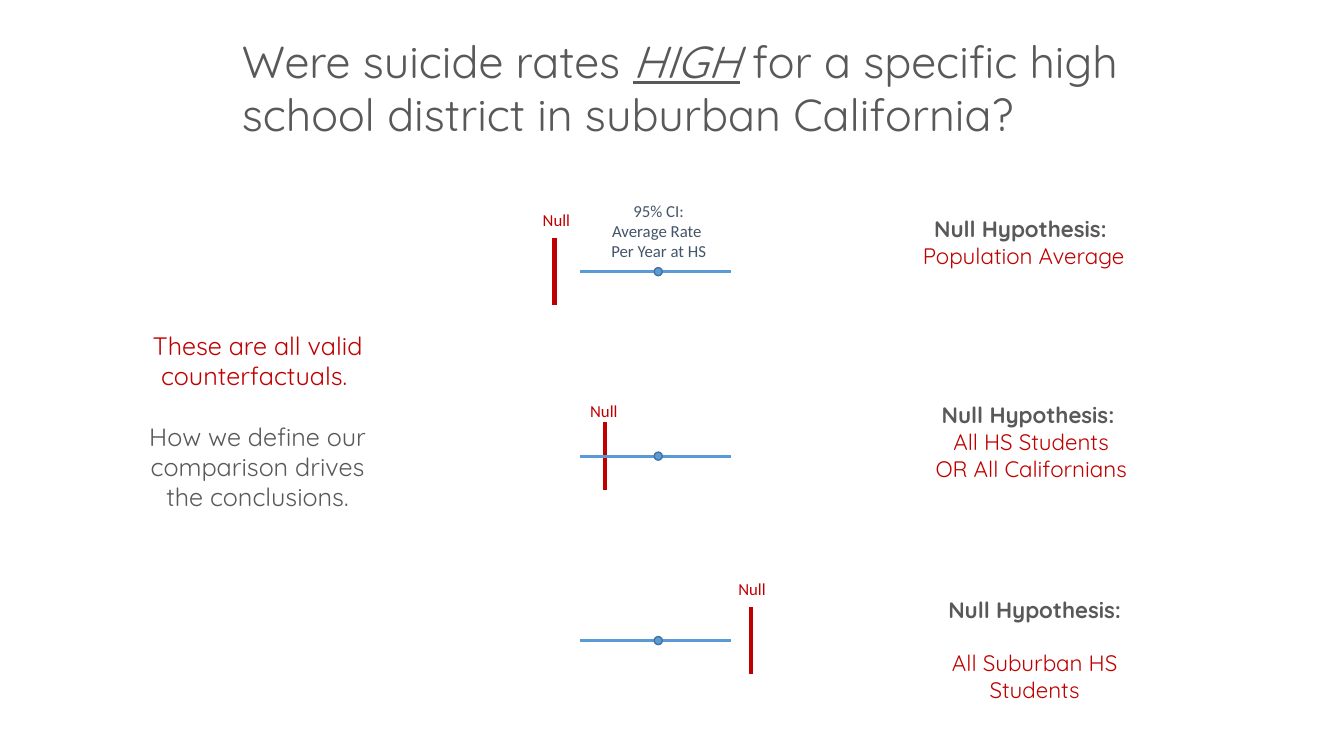
import pptx
import pptx.util
import pptx.dml.color
import pptx.enum.shapes
import pptx.enum.text
import pptx.oxml.ns
import lxml.etree

UNIT = pptx.util.Inches(0.1)
COLORS = {"grey": "595959", "red": "C00000", "blue": "5B9BD5", "rim": "43739E", "slate": "44546A"}
CI_LEFT, CI_RIGHT, DOT_X, DOT = 57.5, 72.5, 65.3, 0.8
FIRST_ROW, ROW_STEP, TICK = 26.95, 18.3, 6.7
LABEL_W, LABEL_H = 4.8, 3
ALIGN = pptx.enum.text.PP_ALIGN


def grid(*cells):
    """Convert grid cells to lengths."""
    return [round(c * UNIT) for c in cells]


def rgb(name):
    """Look up a named colour."""
    return pptx.dml.color.RGBColor.from_string(COLORS[name])


def add_run(p, text, size, color, font="Quicksand", bold=False):
    """Append one formatted run to a paragraph."""
    r = p.add_run()
    r.text = text
    r.font.size, r.font.name, r.font.bold = pptx.util.Pt(size), font, bold
    r.font.color.rgb = rgb(color)
    return r


def add_text(s, place, lines, size, font="Quicksand", wrap=False):
    """Add centred paragraphs given as (text, colour, bold, space before)."""
    tf = s.shapes.add_textbox(*grid(*place)).text_frame
    tf.word_wrap = wrap
    tf.auto_size = pptx.enum.text.MSO_AUTO_SIZE.SHAPE_TO_FIT_TEXT
    for i, (text, color, bold, gap) in enumerate(lines):
        p = tf.add_paragraph() if i else tf.paragraphs[0]
        p.alignment = ALIGN.CENTER
        p.space_before = pptx.util.Pt(gap)
        add_run(p, text, size, color, font, bold)


def add_line(s, x1, y1, x2, y2, color, width):
    """Add a straight line without a shadow."""
    c = s.shapes.add_connector(pptx.enum.shapes.MSO_CONNECTOR.STRAIGHT, *grid(x1, y1, x2, y2))
    c.line.color.rgb = rgb(color)
    c.line.width = pptx.util.Pt(width)
    lxml.etree.SubElement(c._element.spPr, pptx.oxml.ns.qn("a:effectLst"))


def add_interval(s, y, null_x, label_x, label_y):
    """Draw a null tick with its label, and a confidence interval."""
    add_line(s, null_x, y - TICK / 2, null_x, y + TICK / 2, "red", 3)
    add_line(s, CI_LEFT, y, CI_RIGHT, y, "blue", 2)
    dot = s.shapes.add_shape(pptx.enum.shapes.MSO_SHAPE.OVAL,
                             *grid(DOT_X - DOT / 2, y - DOT / 2, DOT, DOT))
    dot.shadow.inherit = False
    dot.fill.solid()
    dot.fill.fore_color.rgb = rgb("blue")
    dot.line.color.rgb = rgb("rim")
    dot.line.width = pptx.util.Pt(1)
    add_text(s, (label_x, label_y, LABEL_W, LABEL_H), [("Null", "red", False, 0)], 12, "Calibri")


def add_hypothesis(s, place, answers, gap=0):
    """Add a bold heading above the comparison groups."""
    lines = [("Null Hypothesis: ", "grey", True, 0)]
    lines += [(a, "red", False, 0 if i else gap) for i, a in enumerate(answers)]
    add_text(s, place, lines, 16)


def add_title(s):
    """Fill and place the title placeholder."""
    title = s.shapes.title
    title.left, title.top, title.width, title.height = grid(23, 2.8, 92.5, 11.8)
    tf = title.text_frame
    tf.word_wrap = True
    tf.auto_size = pptx.enum.text.MSO_AUTO_SIZE.NONE
    tf.vertical_anchor = pptx.enum.text.MSO_ANCHOR.TOP
    p = tf.paragraphs[0]
    p.alignment = ALIGN.LEFT
    add_run(p, "Were suicide rates ", 32, "grey")
    r = add_run(p, "HIGH", 32, "grey")
    r.font.italic = r.font.underline = True
    add_run(p, " for a specific high school district in suburban California?", 32, "grey")


def main():
    """Build the slide."""
    prs = pptx.Presentation()
    prs.slide_width, prs.slide_height = grid(133.33, 75)
    s = prs.slides.add_slide(prs.slide_layouts[5])
    add_title(s)
    nulls = [(55, 52.8, 20.3), (60, 57.5, 39.3), (74.5, 72.2, 56.9)]
    for row, null in enumerate(nulls):
        add_interval(s, FIRST_ROW + row * ROW_STEP, *null)
    captions = ["95% CI:", "Average Rate ", "Per Year at HS"]
    add_text(s, (59.6, 19.4, 11.5, 7.1), [(c, "slate", False, 0) for c in captions], 12, "Calibri")
    add_hypothesis(s, (89.6, 20.9, 23.9, 6.4), ["Population Average"])
    add_hypothesis(s, (91.4, 39.3, 21.8, 9.1), ["All HS Students", "OR All Californians"])
    add_hypothesis(s, (92.8, 58.6, 19.7, 9.1), ["All Suburban HS", "Students"], 19.2)
    add_text(s, (12.5, 32.3, 26.1, 19.2), [
        ("These are all valid counterfactuals. ", "red", False, 0),
        ("How we define our comparison drives the conclusions.", "grey", False, 21.6),
    ], 18, wrap=True)
    prs.save("out.pptx")


if __name__ == "__main__":
    main()
